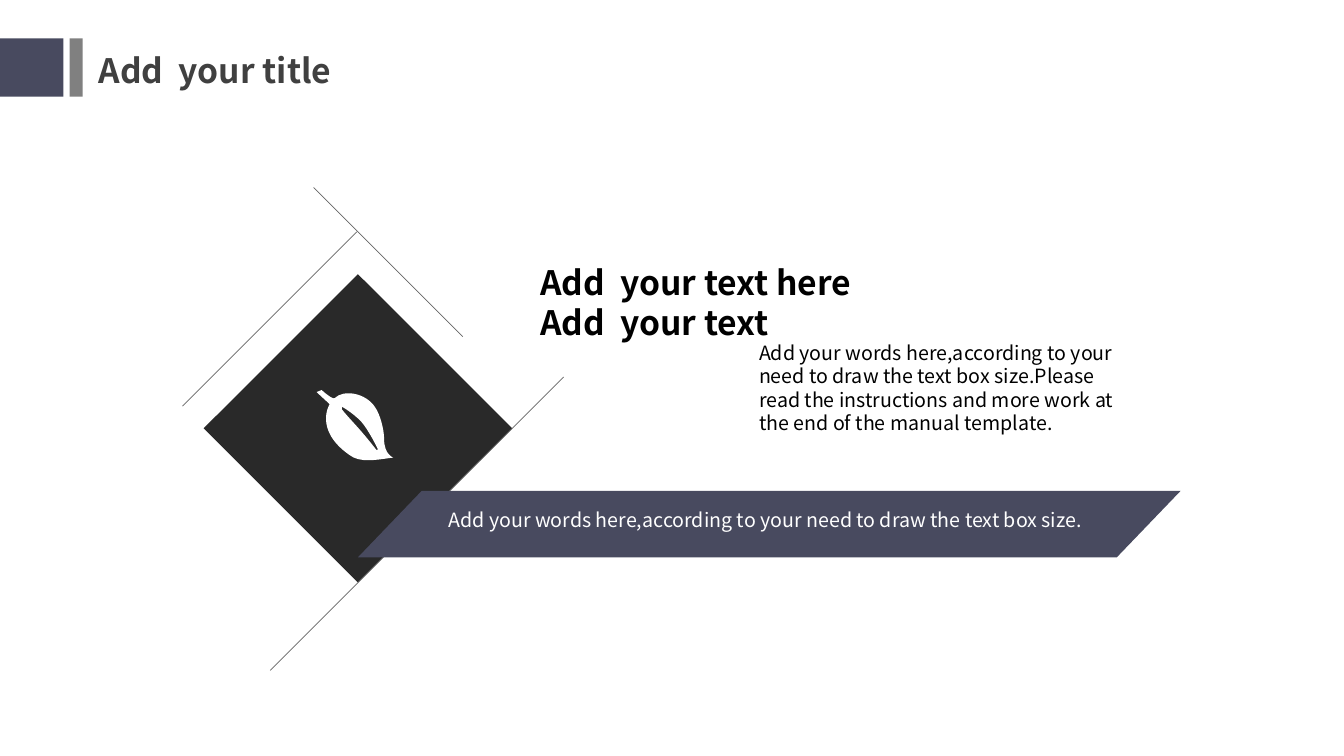
from dataclasses import dataclass

from lxml.etree import SubElement
from pptx import Presentation
from pptx.dml.color import RGBColor
from pptx.enum.shapes import MSO_CONNECTOR, MSO_SHAPE
from pptx.enum.text import MSO_ANCHOR, MSO_AUTO_SIZE, PP_ALIGN
from pptx.oxml.ns import qn
from pptx.util import Emu, Pt

PX = 9144  # EMU per px, 100 px to the inch
FONT = "Noto Sans CJK SC"
LINE_HEIGHT = 1.2

SLATE = RGBColor(0x48, 0x4A, 0x5F)
GREY = RGBColor(0x80, 0x80, 0x80)
TITLE_GREY = RGBColor(0x40, 0x40, 0x40)
CHARCOAL = RGBColor(0x29, 0x29, 0x29)
LINE_GREY = RGBColor(0x65, 0x65, 0x65)
BLACK = RGBColor(0x00, 0x00, 0x00)
WHITE = RGBColor(0xFF, 0xFF, 0xFF)

Point = tuple[int, int]


@dataclass(frozen=True)
class Box:
    left: int
    top: int
    width: int
    height: int

    def emu(self) -> tuple[Emu, ...]:
        return tuple(Emu(v * PX) for v in (self.left, self.top, self.width, self.height))


@dataclass(frozen=True)
class Block:
    kind: MSO_SHAPE
    box: Box
    color: RGBColor
    adjustment: float | None = None


@dataclass(frozen=True)
class Label:
    text: str
    box: Box
    size: int
    color: RGBColor
    bold: bool = False


@dataclass(frozen=True)
class Contour:
    """A closed outline; each curve is two control points and an end point."""
    start: Point
    curves: list[tuple[Point, Point, Point]]


BLOCKS = [
    Block(MSO_SHAPE.RECTANGLE, Box(0, 38, 63, 58), SLATE),
    Block(MSO_SHAPE.RECTANGLE, Box(69, 38, 13, 58), GREY),
    Block(MSO_SHAPE.DIAMOND, Box(202, 272, 306, 306), CHARCOAL),
]
BANNER = Block(MSO_SHAPE.PARALLELOGRAM, Box(355, 487, 816, 66), SLATE, 0.96)
FRAME_LINES = [
    ((311, 186), (459, 334)),
    ((354, 230), (181, 403)),
    ((268, 665), (559, 374)),
]
TITLE = Label("Add  your title", Box(88, 44, 344, 50), 24, TITLE_GREY, True)
LABELS = [
    Label("Add your words here,according to your need to draw the text box size."
          "Please read the instructions and more work at the end of the manual template.",
          Box(743, 333, 386, 104), 14, BLACK),
    Label("Add  your text here\nAdd  your text", Box(526, 255, 543, 91), 24, BLACK, True),
    Label("Add your words here,according to your need to draw the text box size.",
          Box(435, 499, 677, 34), 14, WHITE),
]
LEAF = [
    Contour((381, 436), [
        ((381, 426), (377, 411), (372, 404)),
        ((363, 390), (341, 386), (332, 395)),
        ((330, 397), (319, 387), (319, 387)),
        ((314, 389), (314, 389), (314, 389)),
        ((327, 401), (327, 401), (327, 401)),
        ((327, 401), (311, 426), (346, 451)),
        ((357, 460), (374, 456), (390, 454)),
        ((390, 454), (381, 451), (381, 436)),
    ]),
    Contour((374, 446), [
        ((374, 447), (374, 447), (374, 447)),
        ((374, 447), (374, 446), (373, 446)),
        ((373, 446), (363, 433), (353, 422)),
        ((341, 409), (339, 406), (339, 406)),
        ((339, 405), (339, 405), (339, 404)),
        ((339, 404), (339, 404), (340, 404)),
        ((340, 404), (349, 409), (358, 418)),
        ((366, 427), (375, 446), (375, 446)),
        ((375, 446), (375, 446), (374, 446)),
    ]),
]


def paint(shape, color: RGBColor) -> None:
    shape.shadow.inherit = False
    shape.fill.solid()
    shape.fill.fore_color.rgb = color
    shape.line.fill.background()


def add_block(s, block: Block) -> None:
    sp = s.shapes.add_shape(block.kind, *block.box.emu())
    if block.adjustment is not None:
        sp.adjustments[0] = block.adjustment
    paint(sp, block.color)


def add_line(s, start: Point, end: Point) -> None:
    line = s.shapes.add_connector(
        MSO_CONNECTOR.STRAIGHT, *(Emu(v * PX) for v in (*start, *end)))
    line.line.color.rgb = LINE_GREY
    line.line.width = Pt(0.5)
    SubElement(line._element.spPr, qn("a:effectLst"))


def write_label(sp, label: Label) -> None:
    sp.left, sp.top, sp.width, sp.height = label.box.emu()
    tf = sp.text_frame
    tf.text = label.text
    tf.word_wrap = True
    tf.auto_size = MSO_AUTO_SIZE.NONE
    tf.vertical_anchor = MSO_ANCHOR.TOP
    for p in tf.paragraphs:
        p.alignment = PP_ALIGN.LEFT
        p.line_spacing = Pt(label.size * LINE_HEIGHT)
        for r in p.runs:
            r.font.name = FONT
            r.font.size = Pt(label.size)
            r.font.bold = label.bold
            r.font.color.rgb = label.color


def bend_lines(sp) -> None:
    """Turn every three straight segments of a freeform into one Bezier curve."""
    lines = list(sp._element.iter(qn("a:lnTo")))
    for first, second, third in zip(lines[::3], lines[1::3], lines[2::3]):
        first.tag = qn("a:cubicBezTo")
        for line in (second, third):
            first.append(line[0])
            line.getparent().remove(line)


def add_leaf(s) -> None:
    builder = s.shapes.build_freeform(*LEAF[0].start, scale=PX)
    for contour in LEAF:
        if contour is not LEAF[0]:
            builder.move_to(*contour.start)
        builder.add_line_segments(
            [point for curve in contour.curves for point in curve], close=True)
    sp = builder.convert_to_shape()
    bend_lines(sp)
    paint(sp, WHITE)


def main() -> None:
    prs = Presentation()
    prs.slide_width, prs.slide_height = Emu(1333 * PX), Emu(750 * PX)
    s = prs.slides.add_slide(prs.slide_layouts.get_by_name("Title Only"))
    write_label(s.shapes.title, TITLE)
    for block in BLOCKS:
        add_block(s, block)
    for start, end in FRAME_LINES:
        add_line(s, start, end)
    add_block(s, BANNER)
    for label in LABELS:
        write_label(s.shapes.add_textbox(*label.box.emu()), label)
    add_leaf(s)
    prs.save("out.pptx")


if __name__ == "__main__":
    main()
